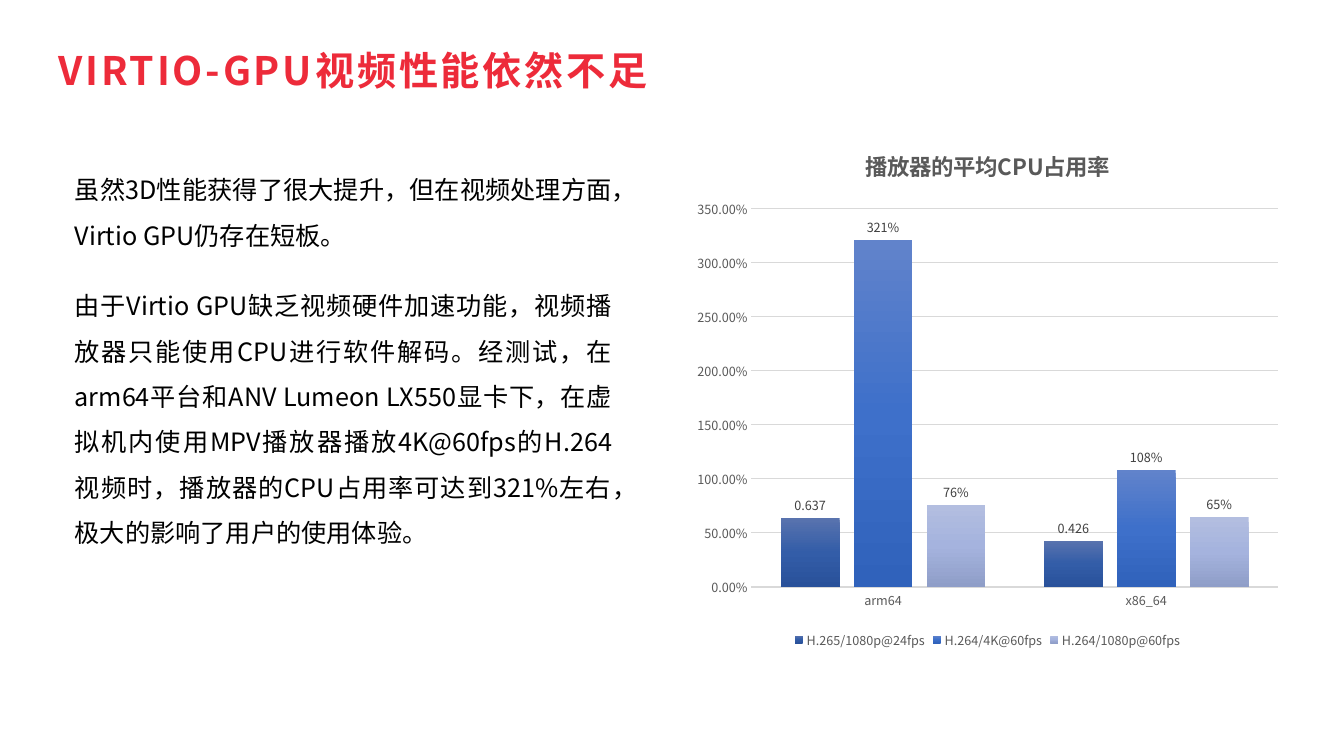
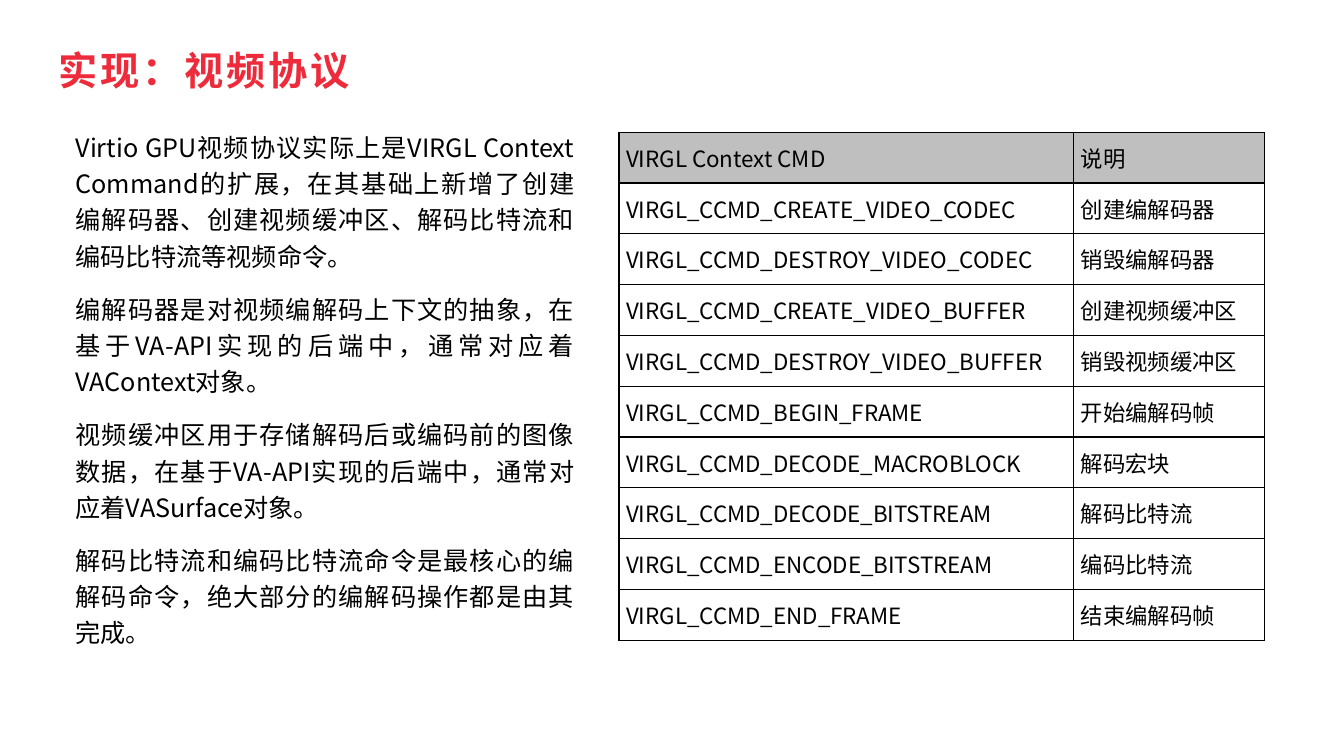
from lxml.etree import SubElement
from pptx import Presentation
from pptx.chart.data import CategoryChartData
from pptx.dml.color import RGBColor
from pptx.enum.chart import (XL_CHART_TYPE as ChartType, XL_LABEL_POSITION as LabelPos,
                             XL_LEGEND_POSITION as LegendPos, XL_TICK_MARK as Tick)
from pptx.enum.text import MSO_ANCHOR as Anchor, MSO_AUTO_SIZE as AutoSize, PP_ALIGN as Align
from pptx.oxml import parse_xml
from pptx.oxml.ns import nsdecls, qn
from pptx.util import Cm, Pt

FONT = "Noto Sans CJK SC"
COLORS = {"title": "ED2B3A", "text": "000000", "axis": "595959", "label": "404040",
          "grid": "D9D9D9", "header": "BFBFBF", "border": "000000"}


def rgb(name):
    return RGBColor.from_string(COLORS[name])


def write(frame, *texts, size=18, color="text", bold=False, align=Align.LEFT,
          line=1.0, after=0, tracking=0):
    """Fill the frame with one unbulleted paragraph per text; tracking is in points."""
    for number, text in enumerate(texts):
        paragraph = frame.add_paragraph() if number else frame.paragraphs[0]
        properties = paragraph._p.get_or_add_pPr()
        properties.set("marL", "0")
        properties.set("indent", "0")
        SubElement(properties, qn("a:buNone"))
        paragraph.alignment = align
        paragraph.line_spacing = line
        paragraph.space_before = Pt(0)
        paragraph.space_after = Pt(after)
        run = paragraph.add_run()
        run.text = text
        run.font.size, run.font.bold, run.font.name = Pt(size), bold, FONT
        run.font.color.rgb = rgb(color)
        run_properties = run._r.get_or_add_rPr()
        run_properties.set("spc", str(tracking * 100))
        SubElement(run_properties, qn("a:ea"), typeface=FONT)


prs = Presentation()
prs.slide_width, prs.slide_height = Cm(33.87), Cm(19.05)

pages = [
    dict(title="VIRTIO-GPU视频性能依然不足", title_width=15.75,
         body_box=(1.63, 3.89, 14.05, 10.13), line=1.5, after=18,
         body=["虽然3D性能获得了很大提升，但在视频处理方面，Virtio GPU仍存在短板。",
               "由于Virtio GPU缺乏视频硬件加速功能，视频播放器只能使用CPU进行软件解码。"
               "经测试，在arm64平台和ANV Lumeon LX550显卡下，在虚拟机内使用MPV播放器播放"
               "4K@60fps的H.264视频时，播放器的CPU占用率可达到321%左右，"
               "极大的影响了用户的使用体验。"]),
    dict(title="实现：视频协议", title_width=7.92,
         body_box=(1.65, 3.05, 13.08, 13.54), line=1.2, after=12,
         body=["Virtio GPU视频协议实际上是VIRGL Context Command的扩展，在其基础上新增了"
               "创建编解码器、创建视频缓冲区、解码比特流和编码比特流等视频命令。",
               "编解码器是对视频编解码上下文的抽象，在基于VA-API实现的后端中，"
               "通常对应着VAContext对象。",
               "视频缓冲区用于存储解码后或编码前的图像数据，在基于VA-API实现的后端中，"
               "通常对应着VASurface对象。",
               "解码比特流和编码比特流命令是最核心的编解码命令，"
               "绝大部分的编解码操作都是由其完成。"]),
]

slides = []
for page in pages:
    slide = prs.slides.add_slide(prs.slide_layouts[1])
    slides.append(slide)
    title, body = slide.placeholders
    title.left, title.top = Cm(1.22), Cm(1.04)
    title.width, title.height = Cm(page["title_width"]), Cm(1.45)
    heading = title.text_frame
    heading.auto_size = AutoSize.NONE
    heading.word_wrap = False
    heading.vertical_anchor = Anchor.MIDDLE
    heading.margin_top = heading.margin_bottom = 0
    write(heading, page["title"], size=28, color="title", bold=True, tracking=2)

    body.left, body.top, body.width, body.height = map(Cm, page["body_box"])
    body.text_frame.auto_size = AutoSize.NONE
    body.text_frame.word_wrap = True
    write(body.text_frame, *page["body"], align=Align.JUSTIFY,
          line=page["line"], after=page["after"])

performance, protocol = slides

# CPU usage chart
usage = [
    ("H.265/1080p@24fps", (0.637, 0.426), "General", ("5973AE", "335DA8", "29519A")),
    ("H.264/4K@60fps", (3.21, 1.08), "0%", ("6183CB", "3E70CA", "3062BB")),
    ("H.264/1080p@60fps", (0.76, 0.65), "0%", ("B3BEE0", "A5B3DE", "8F9EC8")),
]
usage_data = CategoryChartData()
usage_data.categories = ["arm64", "x86_64"]
for name, values, number_format, _ in usage:
    usage_data.add_series(name, values, number_format)
chart = performance.shapes.add_chart(ChartType.COLUMN_CLUSTERED, Cm(17.27), Cm(3.23),
                                     Cm(15.24), Cm(13.21), usage_data).chart
chart.font.name, chart.font.size = FONT, Pt(9)
chart.font.color.rgb = rgb("axis")
chart.has_title = True
write(chart.chart_title.text_frame, "播放器的平均CPU占用率", size=16, color="axis",
      bold=True, align=Align.CENTER)
chart.chart_title.include_in_layout = False
chart.has_legend = True
chart.legend.position = LegendPos.BOTTOM
chart.legend.include_in_layout = False

percent_axis, platform_axis = chart.value_axis, chart.category_axis
for axis in (percent_axis, platform_axis):
    axis.major_tick_mark = axis.minor_tick_mark = Tick.NONE
percent_axis.minimum_scale, percent_axis.maximum_scale = 0, 3.5
percent_axis.major_unit = 0.5
percent_axis.tick_labels.number_format = "0.00%"
percent_axis.tick_labels.number_format_is_linked = False
percent_axis.format.line.fill.background()
for line, width in ((percent_axis.major_gridlines.format.line, 0.75),
                    (platform_axis.format.line, 1)):
    line.color.rgb = rgb("grid")
    line.width = Pt(width)

plot = chart.plots[0]
plot.vary_by_categories = False
plot.gap_width, plot.overlap = 100, -24
for series, (_, _, number_format, shades) in zip(plot.series, usage):
    stops = "".join(f'<a:gs pos="{step * 50000}"><a:srgbClr val="{shade}"/></a:gs>'
                    for step, shade in enumerate(shades))
    series._element.get_or_add_spPr().insert(0, parse_xml(
        f'<a:gradFill {nsdecls("a")} rotWithShape="1"><a:gsLst>{stops}</a:gsLst>'
        '<a:lin ang="5400000" scaled="0"/></a:gradFill>'))
    labels = series.data_labels
    labels.show_value = True
    labels.position = LabelPos.OUTSIDE_END
    labels.number_format = number_format
    labels.number_format_is_linked = False
    labels.font.name, labels.font.size = FONT, Pt(9)
    labels.font.color.rgb = rgb("label")

# Command table
commands = [
    ("VIRGL Context CMD", "说明"),
    ("VIRGL_CCMD_CREATE_VIDEO_CODEC", "创建编解码器"),
    ("VIRGL_CCMD_DESTROY_VIDEO_CODEC", "销毁编解码器"),
    ("VIRGL_CCMD_CREATE_VIDEO_BUFFER", "创建视频缓冲区"),
    ("VIRGL_CCMD_DESTROY_VIDEO_BUFFER", "销毁视频缓冲区"),
    ("VIRGL_CCMD_BEGIN_FRAME", "开始编解码帧"),
    ("VIRGL_CCMD_DECODE_MACROBLOCK", "解码宏块"),
    ("VIRGL_CCMD_DECODE_BITSTREAM", "解码比特流"),
    ("VIRGL_CCMD_ENCODE_BITSTREAM", "编码比特流"),
    ("VIRGL_CCMD_END_FRAME", "结束编解码帧"),
]
table = protocol.shapes.add_table(len(commands), 2, Cm(15.6), Cm(3.33),
                                  Cm(16.26), Cm(12.8)).table
table.first_row = table.horz_banding = False
table.columns[0].width, table.columns[1].width = Cm(11.46), Cm(4.8)
for row_number, entry in enumerate(commands):
    table.rows[row_number].height = Cm(1.28)
    for cell, text in zip(table.rows[row_number].cells, entry):
        cell.vertical_anchor = Anchor.MIDDLE
        cell.margin_left = cell.margin_right = Cm(0.18)
        cell.margin_top = cell.margin_bottom = 0
        write(cell.text_frame, text, size=16)
        for side in ("lnL", "lnR", "lnT", "lnB"):
            cell._tc.get_or_add_tcPr().append(parse_xml(
                f'<a:{side} {nsdecls("a")} w="12700"><a:solidFill>'
                f'<a:srgbClr val="{COLORS["border"]}"/></a:solidFill></a:{side}>'))
        if row_number == 0:
            cell.fill.solid()
            cell.fill.fore_color.rgb = rgb("header")
        else:
            cell.fill.background()

prs.save("out.pptx")
